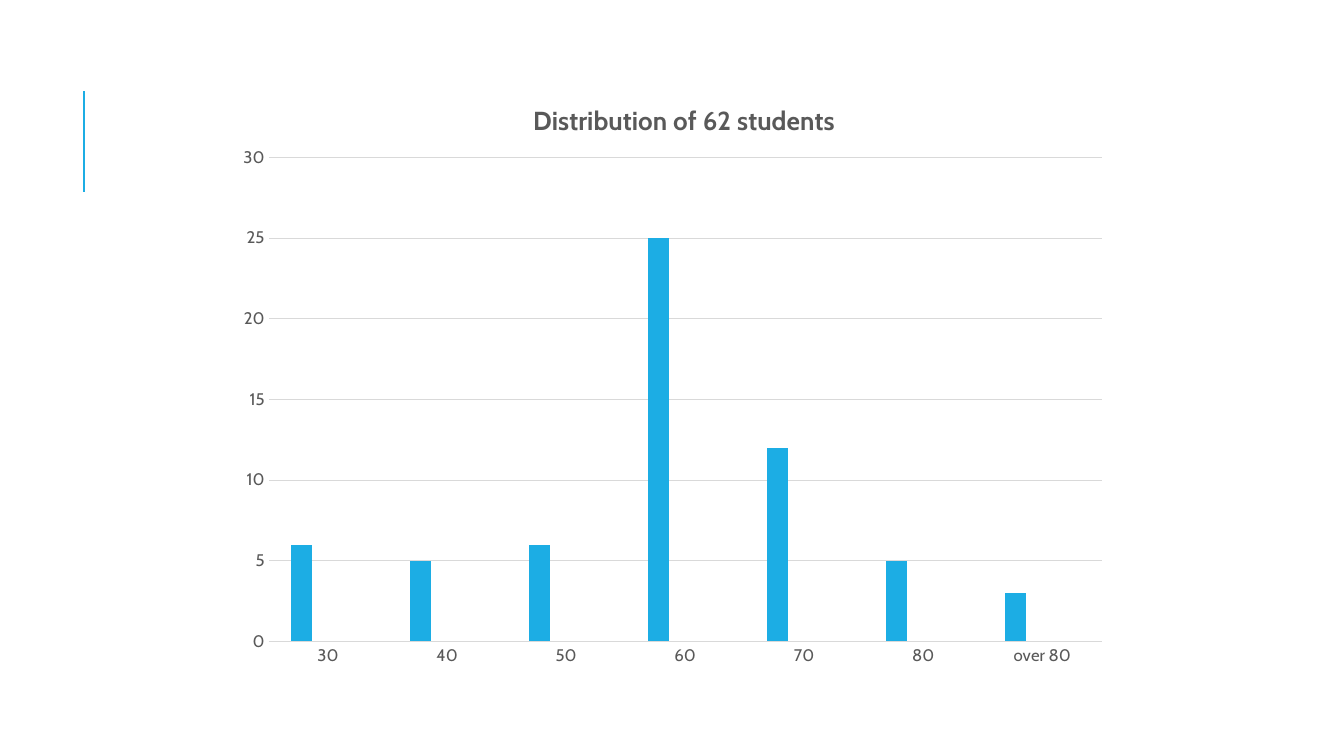
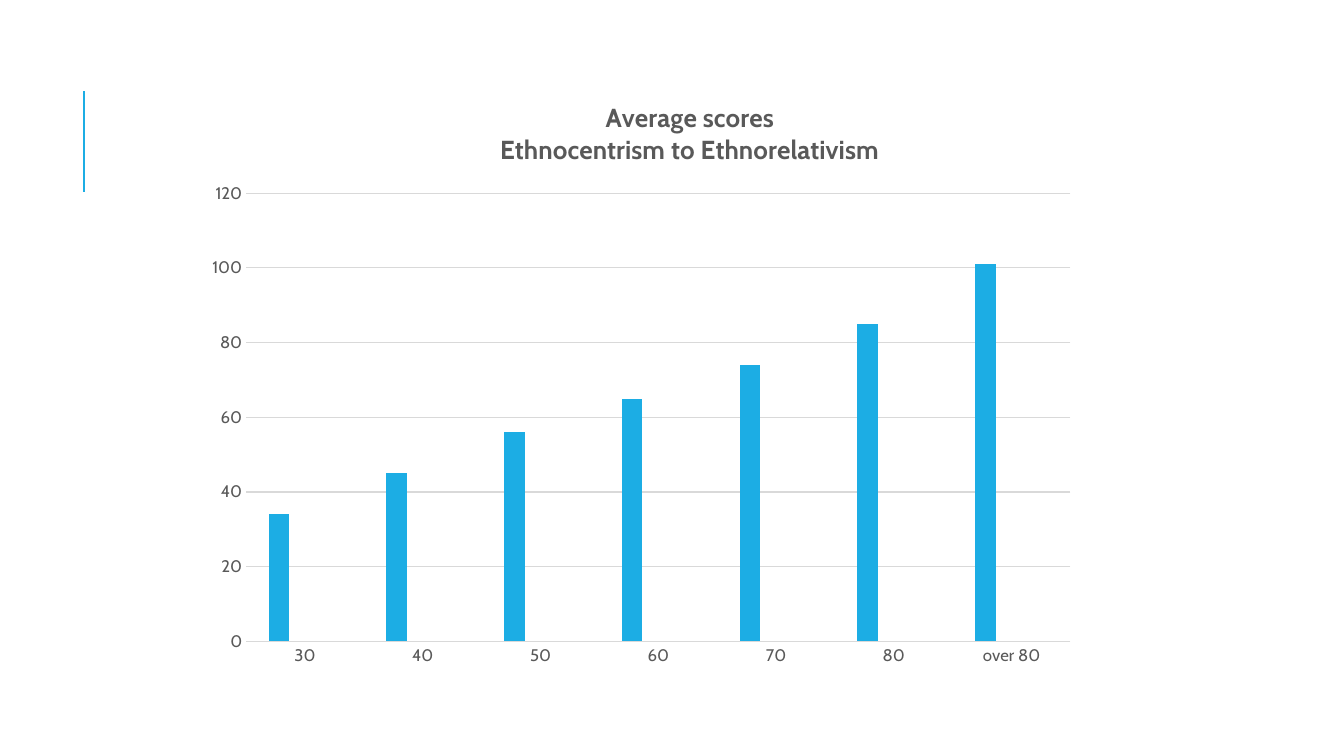
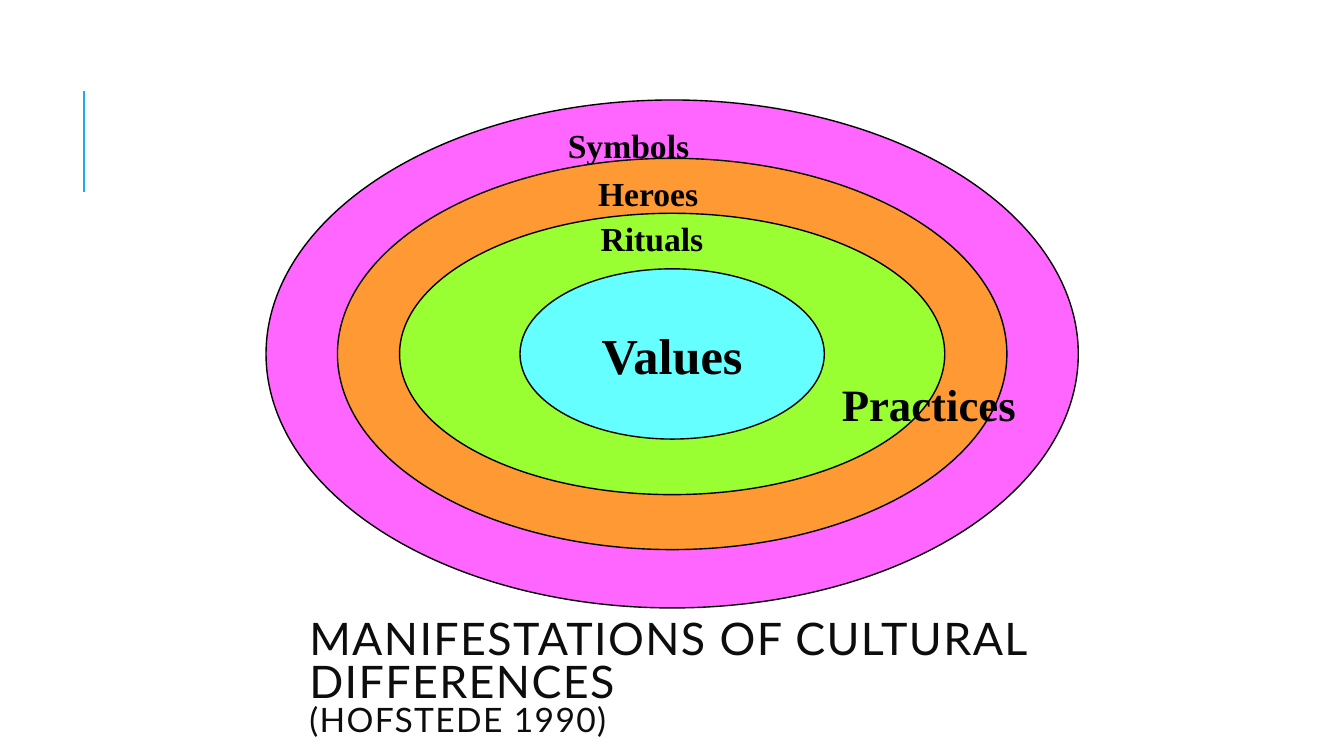
import pptx
import pptx.chart.data
import pptx.dml.color
import pptx.enum.chart
import pptx.enum.shapes
import pptx.enum.text
import pptx.oxml
import pptx.oxml.ns
import pptx.util
from pptx.util import Cm, Pt

ACCENT, GREY, GRID, BLACK = "1CADE4", "595959", "D9D9D9", "000000"
qn = pptx.oxml.ns.qn


def color(hex_string):
    return pptx.dml.color.RGBColor.from_string(hex_string)


def style(font, name, size, hex_string, bold=False):
    font.name, font.size, font.bold = name, Pt(size), bold
    font.color.rgb = color(hex_string)


deck = pptx.Presentation()
deck.slide_width, deck.slide_height = Cm(33.87), Cm(19.05)
title_only, blank = deck.slide_layouts[5], deck.slide_layouts[6]

# Chart slides: left edge, title lines, values, axis maximum and step,
# then title and plot placement as fractions of the chart
categories = ["30", "40", "50", "60", "70", "80", "over 80"]
charts = [
    (5.64, ["Distribution of 62 students"], [6, 5, 6, 25, 12, 5, 3], 30, 5,
     {"x": 0.34, "y": 0.03}, {"x": 0.05, "y": 0.13, "w": 0.93, "h": 0.81}),
    (4.85, ["Average scores", "Ethnocentrism to Ethnorelativism"],
     [34, 45, 56, 65, 74, 85, 101], 120, 20,
     {"x": 0.34, "y": 0.03}, {"x": 0.06, "y": 0.19, "w": 0.92, "h": 0.75}),
]
for left, heading, values, maximum, step, heading_place, plot_place in charts:
    slide = deck.slides.add_slide(blank)
    scores = pptx.chart.data.CategoryChartData()
    scores.categories = categories
    scores.add_series("Series 1", values)
    for name in ("Series 2", "Series 3"):
        scores.add_series(name, [None] * len(categories))
    chart = slide.shapes.add_chart(
        pptx.enum.chart.XL_CHART_TYPE.COLUMN_CLUSTERED,
        Cm(left), Cm(2.01), Cm(22.58), Cm(15.06), scores).chart
    chart.has_legend = False
    style(chart.font, "Cabin", 10, BLACK)

    # Heading
    heading_frame = chart.chart_title.text_frame
    heading_frame.text = "\n".join(heading)
    for paragraph in heading_frame.paragraphs:
        style(paragraph.font, "Cabin", 18.6, GREY, bold=True)
    chart.chart_title.include_in_layout = False

    # Columns
    columns = chart.plots[0]
    columns.gap_width, columns.overlap = 219, -27
    columns.vary_by_categories = False
    for series, fill in zip(columns.series, (ACCENT, "2683C6", "27CED7")):
        series.format.fill.solid()
        series.format.fill.fore_color.rgb = color(fill)

    # Axes
    for axis in (chart.category_axis, chart.value_axis):
        axis.major_tick_mark = pptx.enum.chart.XL_TICK_MARK.NONE
        style(axis.tick_labels.font, "Cabin", 12, GREY)
    value_axis = chart.value_axis
    value_axis.minimum_scale, value_axis.maximum_scale = 0, maximum
    value_axis.major_unit = step
    value_axis.format.line.fill.background()
    for line in (chart.category_axis.format.line,
                 value_axis.major_gridlines.format.line):
        line.color.rgb, line.width = color(GRID), Pt(0.75)

    # Fixed placement of heading and plot area
    plot_area = chart.element.find(".//" + qn("c:plotArea"))
    for part, index, place in ((chart.chart_title.element, 1, heading_place),
                               (plot_area, 0, plot_place)):
        for old in part.findall(qn("c:layout")):
            part.remove(old)
        target = '<c:layoutTarget val="inner"/>' if "w" in place else ""
        modes = "".join(f'<c:{key}Mode val="edge"/>' for key in "xy")
        sizes = "".join(f'<c:{key} val="{value}"/>' for key, value in place.items())
        part.insert(index, pptx.oxml.parse_xml(
            '<c:layout xmlns:c="http://schemas.openxmlformats.org/drawingml/2006/chart">'
            f"<c:manualLayout>{target}{modes}{sizes}</c:manualLayout></c:layout>"))

# Culture slide
slide = deck.slides.add_slide(title_only)
title = slide.shapes.title
title.left, title.top, title.width, title.height = Cm(7.54), Cm(15.54), Cm(21.29), Cm(3.18)
title.text_frame.text = "MANIFESTATIONS OF CULTURAL DIFFERENCES\v(HOFSTEDE 1990)"
title.text_frame.auto_size = pptx.enum.text.MSO_AUTO_SIZE.NONE
title.text_frame.vertical_anchor = pptx.enum.text.MSO_ANCHOR.MIDDLE
heading = title.text_frame.paragraphs[0]
heading.alignment = pptx.enum.text.PP_ALIGN.LEFT
heading.line_spacing = 0.8
style(heading.font, "Lato", 32, "0D0D0D")
for run, size in zip(heading.runs, (32, 24)):
    run.font.size = Pt(size)
    run.font.element.set("spc", "100") if hasattr(run.font, "element") else \
        run._r.get_or_add_rPr().set("spc", "100")

# Concentric rings, outermost first, each with its label
center_x, center_y = 16.94, 8.92
rings = [
    ("FF66FF", 20.47, 12.8, "Symbols", 24, (14.05, 3.02, 3.58, 1.27)),
    ("FF9933", 16.87, 9.86, "Heroes", 24, (14.81, 4.22, 3.05, 1.27)),
    ("99FF33", 13.74, 7.09, "Rituals", 24, (14.88, 5.36, 3.1, 1.27)),
    ("66FFFF", 7.67, 4.29, "Values", 36, None),
]
labels = []
for fill, width, height, word, size, label_box in rings:
    ring = slide.shapes.add_shape(
        pptx.enum.shapes.MSO_SHAPE.OVAL, Cm(center_x - width / 2),
        Cm(center_y - height / 2), Cm(width), Cm(height))
    ring.shadow.inherit = False
    ring.fill.solid()
    ring.fill.fore_color.rgb = color(fill)
    ring.line.color.rgb, ring.line.width = color(BLACK), Pt(1)
    label = ring
    if label_box:
        label = slide.shapes.add_textbox(*map(Cm, label_box))
    label.text_frame.word_wrap = False
    labels.append((label, word, size))

practices = slide.shapes.add_textbox(Cm(20.35), Cm(8.92), Cm(6.12), Cm(2.49))
practices.text_frame.word_wrap = True
practices.text_frame.vertical_anchor = pptx.enum.text.MSO_ANCHOR.MIDDLE
labels.append((practices, "Practices", 32))

for label, word, size in labels:
    label.text_frame.text = word
    paragraph = label.text_frame.paragraphs[0]
    paragraph.alignment = pptx.enum.text.PP_ALIGN.CENTER
    style(paragraph.font, "Times New Roman", size, BLACK, bold=True)

# Accent line, moved to the master so that every slide shows it
accent = slide.shapes.add_connector(
    pptx.enum.shapes.MSO_CONNECTOR.STRAIGHT, Cm(2.11), Cm(4.83), Cm(2.11), Cm(2.29))
accent.line.color.rgb, accent.line.width = color(ACCENT), Pt(1.5)
accent.element.spPr.append(pptx.oxml.parse_xml(
    '<a:effectLst xmlns:a="http://schemas.openxmlformats.org/drawingml/2006/main"/>'))
deck.slide_master.shapes.element.append(accent.element)

deck.save("out.pptx")
